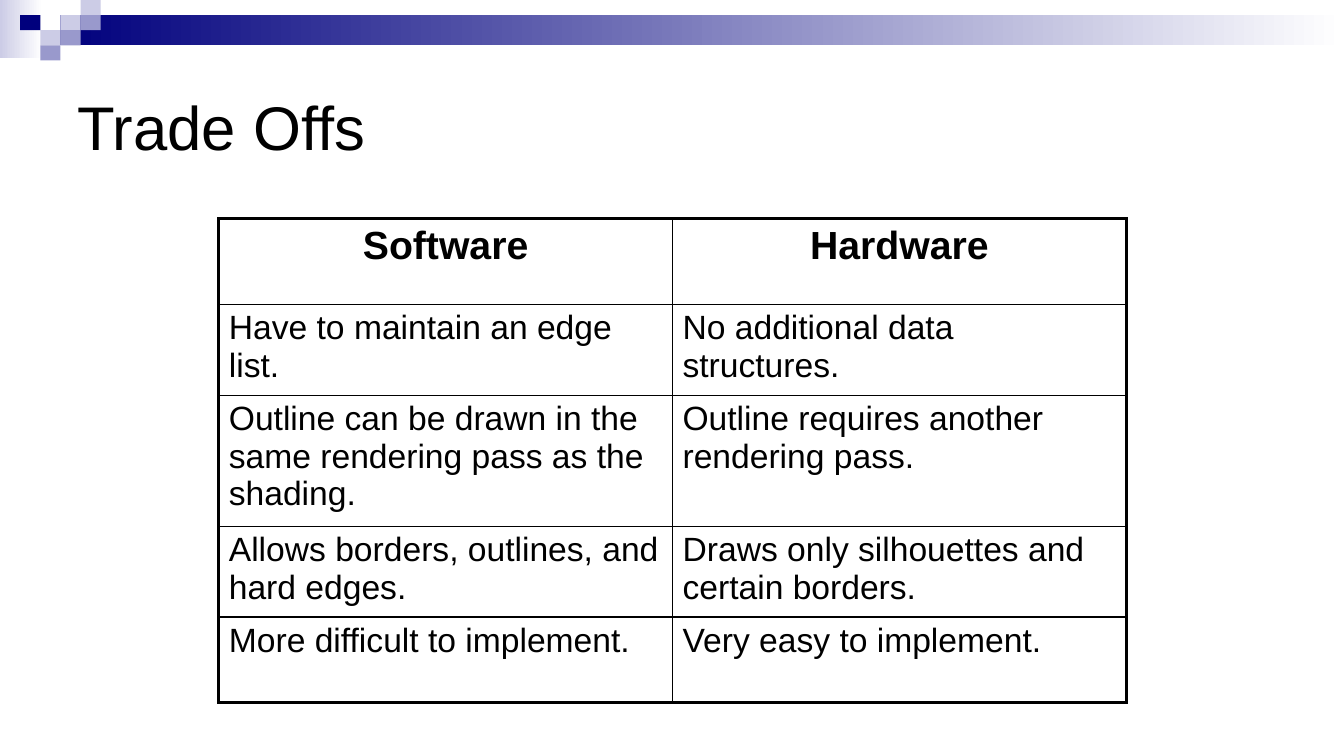
from lxml.etree import SubElement
from pptx import Presentation
from pptx.dml.color import RGBColor
from pptx.enum.shapes import MSO_SHAPE
from pptx.enum.text import MSO_ANCHOR, PP_ALIGN
from pptx.oxml.ns import qn
from pptx.util import Inches, Pt

FONT = "Arial"
COLORS = {
    "black": "000000",
    "white": "FFFFFF",
    "navy": "00007D",
    "mid": "9999CC",
    "pale": "CCCCE6",
}
ROWS = [
    ("Software", "Hardware"),
    ("Have to maintain an edge list.", "No additional data structures."),
    ("Outline can be drawn in the same rendering pass as the shading.",
     "Outline requires another rendering pass."),
    ("Allows borders, outlines, and hard edges.",
     "Draws only silhouettes and certain borders."),
    ("More difficult to implement.", "Very easy to implement."),
]
ROW_HEIGHTS = [0.85, 0.9, 1.3, 0.9, 0.85]
COLUMN_WIDTH = 4.5
OUTER_LINE, INNER_LINE = 2.25, 1
# Decoration squares: left, top, colour
SQUARE_WIDTH, SQUARE_HEIGHT = 0.2, 0.15
SQUARES = [
    (0.6, 0.15, "pale"),
    (0.8, 0, "pale"),
    (0.8, 0.15, "mid"),
    (0.4, 0.3, "pale"),
    (0.2, 0.15, "navy"),
    (0.6, 0.3, "mid"),
    (0.4, 0.45, "mid"),
]


def rgb(name):
    return RGBColor.from_string(COLORS[name])


def add_block(page, left, top, width, height, color, fade_to=None):
    block = page.shapes.add_shape(MSO_SHAPE.RECTANGLE, Inches(left), Inches(top),
                                  Inches(width), Inches(height))
    block.shadow.inherit = False
    block.line.fill.background()
    if fade_to:
        block.fill.gradient()
        block.fill.gradient_angle = 0
        for stop, name, position in zip(block.fill.gradient_stops, (color, fade_to), (0, 1)):
            stop.color.rgb = rgb(name)
            stop.position = position
    else:
        block.fill.solid()
        block.fill.fore_color.rgb = rgb(color)


def write_text(frame, text, size, bold=False, align=PP_ALIGN.LEFT):
    frame.text = text
    frame.word_wrap = True
    para = frame.paragraphs[0]
    para.alignment = align
    font = para.runs[0].font
    font.name, font.size, font.bold = FONT, Pt(size), bold
    font.color.rgb = rgb("black")


def add_title(page, text):
    box = page.shapes.add_textbox(Inches(0.67), Inches(0.5), Inches(12), Inches(1.5))
    box.text_frame.vertical_anchor = MSO_ANCHOR.MIDDLE
    write_text(box.text_frame, text, 44)


def set_borders(cell, outer_sides):
    """Draw the four cell borders, heavier where the side is on the table edge."""
    properties = cell._tc.get_or_add_tcPr()
    for side, is_outer in zip("LRTB", outer_sides):
        width = Pt(OUTER_LINE if is_outer else INNER_LINE)
        line = SubElement(properties, qn(f"a:ln{side}"), w=str(width))
        fill = SubElement(line, qn("a:solidFill"))
        SubElement(fill, qn("a:srgbClr"), val=COLORS["black"])


def add_comparison(page):
    last_row, last_column = len(ROWS) - 1, len(ROWS[0]) - 1
    table = page.shapes.add_table(
        len(ROWS), len(ROWS[0]), Inches(2.17), Inches(2.17),
        Inches(COLUMN_WIDTH * len(ROWS[0])), Inches(sum(ROW_HEIGHTS))).table
    table.first_row = table.horz_banding = False
    for column in table.columns:
        column.width = Inches(COLUMN_WIDTH)
    for r, (texts, height) in enumerate(zip(ROWS, ROW_HEIGHTS)):
        table.rows[r].height = Inches(height)
        is_header = r == 0
        for c, text in enumerate(texts):
            cell = table.cell(r, c)
            set_borders(cell, (c == 0, c == last_column, is_header, r == last_row))
            cell.fill.background()
            write_text(cell.text_frame, text, 28 if is_header else 24, is_header,
                       PP_ALIGN.CENTER if is_header else PP_ALIGN.LEFT)


def main():
    deck = Presentation()
    deck.slide_width, deck.slide_height = Inches(13.33), Inches(7.5)
    page = deck.slides.add_slide(deck.slide_layouts[6])

    # Top decoration
    add_block(page, 0, 0, 0.42, 0.58, "pale", "white")
    add_block(page, 0.6, 0.15, 12.73, 0.3, "navy", "white")
    for left, top, color in SQUARES:
        add_block(page, left, top, SQUARE_WIDTH, SQUARE_HEIGHT, color)

    # Title and table
    add_title(page, "Trade Offs")
    add_comparison(page)

    deck.save("out.pptx")


if __name__ == "__main__":
    main()
